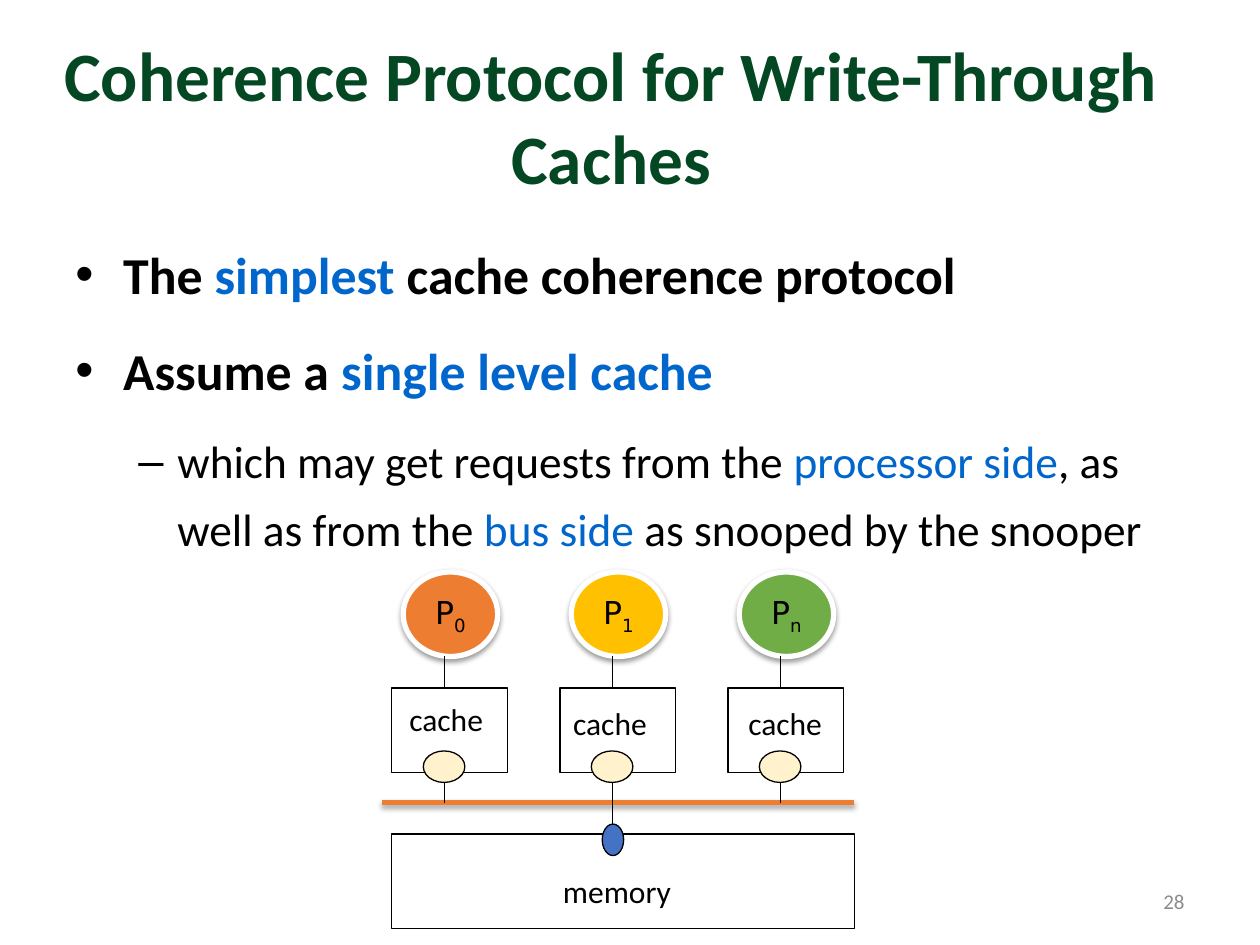
import pptx
import pptx.util
from lxml import etree
from pptx.dml.color import RGBColor
from pptx.enum.shapes import MSO_CONNECTOR, MSO_SHAPE
from pptx.enum.text import MSO_ANCHOR, PP_ALIGN
from pptx.oxml.ns import qn
from pptx.util import Inches, Pt

COLORS = {
    "black": "000000", "white": "FFFFFF", "title": "044823", "accent": "0066CC",
    "number": "8C8C8C", "orange": "ED7D31", "yellow": "FFC000", "green": "70AD47",
    "snooper": "FFF2CC", "port": "4472C4",
}
PITCH = 4 / 3
PROCESSORS = [("0", "orange"), ("1", "yellow"), ("n", "green")]
CACHE_LABELS = [(3.15, 5.51), (4.45, 5.54), (5.84, 5.54)]
BODY = [
    (0, [("The ", "black"), ("simplest", "accent"),
         (" cache coherence protocol", "black")]),
    (0, [("Assume a ", "black"), ("single level cache", "accent")]),
    (1, [("which may get requests from the ", "black"), ("processor side", "accent"),
         (", as well as from the ", "black"), ("bus side ", "accent"),
         ("as snooped by the snooper", "black")]),
]
# Per level: bullet, left margin, hanging indent, line spacing, size, bold, space before
LEVELS = [("•", 0.38, 0.38, 1.2, 29.6, True, 5.9),
          ("–", 0.81, 0.31, 1.25, 25.9, False, 5.2)]


def rgb(name):
    return RGBColor.from_string(COLORS[name])


def add_span(para, text, size=18, color="black", bold=False, font="Calibri", baseline=0):
    span = para.add_run()
    span.text = text
    span.font.size = Pt(size)
    span.font.name = font
    span.font.bold = bold
    span.font.color.rgb = rgb(color)
    if baseline:
        span._r.get_or_add_rPr().set("baseline", str(baseline * 1000))


def add_box(page, left, top, width, height, wrap=True, anchor=MSO_ANCHOR.TOP):
    box = page.shapes.add_textbox(Inches(left), Inches(top), Inches(width), Inches(height))
    box.text_frame.word_wrap = wrap
    box.text_frame.vertical_anchor = anchor
    return box.text_frame


def add_label(page, text, *place, align=PP_ALIGN.LEFT, wrap=False,
              anchor=MSO_ANCHOR.TOP, **style):
    para = add_box(page, *place, wrap=wrap, anchor=anchor).paragraphs[0]
    para.alignment = align
    add_span(para, text, **style)


def add_effects(shape, alpha=0, distance=0):
    """Give the shape a downward shadow, or an empty effect list if alpha is 0."""
    effects = etree.SubElement(shape._element.spPr, qn("a:effectLst"))
    if alpha:
        shadow = etree.SubElement(
            effects, qn("a:outerShdw"), blurRad=str(Pt(3.1)), dist=str(Pt(distance)),
            dir="5400000", rotWithShape="0")
        color = etree.SubElement(shadow, qn("a:srgbClr"), val=COLORS["black"])
        etree.SubElement(color, qn("a:alpha"), val=str(alpha * 1000))


def add_shape(page, kind, left, top, width, height, fill=None, line="black",
              weight=0.75, **shadow):
    shape = page.shapes.add_shape(
        kind, Inches(left), Inches(top), Inches(width), Inches(height))
    if fill:
        shape.fill.solid()
        shape.fill.fore_color.rgb = rgb(fill)
    else:
        shape.fill.background()
    shape.line.color.rgb = rgb(line)
    shape.line.width = Pt(weight)
    add_effects(shape, **shadow)
    return shape


def add_line(page, x1, y1, x2, y2, color="black", weight=0.75, **shadow):
    line = page.shapes.add_connector(
        MSO_CONNECTOR.STRAIGHT, Inches(x1), Inches(y1), Inches(x2), Inches(y2))
    line.line.color.rgb = rgb(color)
    line.line.width = Pt(weight)
    add_effects(line, **shadow)


def add_body(page):
    frame = add_box(page, 0.5, 1.78, 9, 2.76)
    for index, (level, spans) in enumerate(BODY):
        bullet, margin, hanging, spacing, size, bold, before = LEVELS[level]
        para = frame.paragraphs[0] if index == 0 else frame.add_paragraph()
        para.level = level
        para.line_spacing = spacing
        para.space_after = Pt(6)
        if index:
            para.space_before = Pt(before)
        props = para._p.get_or_add_pPr()
        props.set("marL", str(Inches(margin)))
        props.set("indent", str(-Inches(hanging)))
        etree.SubElement(props, qn("a:buFont"), typeface="Arial")
        etree.SubElement(props, qn("a:buChar"), char=bullet)
        for text, color in spans:
            add_span(para, text, size=size, color=color, bold=bold)


def add_processor(page, left, subscript, fill):
    circle = add_shape(page, MSO_SHAPE.OVAL, left, 4.54, 0.75, 0.67, fill=fill,
                       line="white", weight=3, alpha=38, distance=1.6)
    frame = circle.text_frame
    frame.word_wrap = False
    frame.vertical_anchor = MSO_ANCHOR.MIDDLE
    para = frame.paragraphs[0]
    para.alignment = PP_ALIGN.CENTER
    add_span(para, "P", font="DejaVu Sans")
    add_span(para, subscript, font="DejaVu Sans", baseline=-25)


def add_diagram(page):
    add_shape(page, MSO_SHAPE.RECTANGLE, 3.11, 6.62, 3.67, 0.75)
    add_line(page, 3.03, 6.37, 6.78, 6.37, color="orange", weight=3,
             alpha=35, distance=1.8)
    add_line(page, 4.86, 6.37, 4.86, 6.62)
    for column, (subscript, fill) in enumerate(PROCESSORS):
        shift = column * PITCH
        wire = 3.53 + shift
        add_processor(page, 3.2 + shift, subscript, fill)
        add_shape(page, MSO_SHAPE.RECTANGLE, 3.11 + shift, 5.46, 0.92, 0.67)
        add_line(page, wire, 5.21, wire, 5.46)
        add_line(page, wire, 6.12, wire, 6.37)
        add_shape(page, MSO_SHAPE.OVAL, 3.36 + shift, 5.96, 0.33, 0.25, fill="snooper")
    add_shape(page, MSO_SHAPE.OVAL, 4.78, 6.54, 0.17, 0.25, fill="port")
    for left, top in CACHE_LABELS:
        add_label(page, "cache", left, top, 0.79, 0.4)
    add_label(page, "memory", 4.37, 6.87, 1.07, 0.4)


def main():
    deck = pptx.Presentation()
    deck.slide_width, deck.slide_height = Inches(10), Inches(7.5)
    page = deck.slides.add_slide(deck.slide_layouts[6])
    add_body(page)
    add_label(page, "Coherence Protocol for Write-Through Caches", 0.2, 0.29, 9.3, 1.25,
              align=PP_ALIGN.CENTER, wrap=True, anchor=MSO_ANCHOR.MIDDLE,
              size=39.6, color="title", bold=True)
    add_label(page, "28", 7.17, 6.95, 2.33, 0.4, align=PP_ALIGN.RIGHT, wrap=True,
              anchor=MSO_ANCHOR.MIDDLE, size=12, color="number")
    add_diagram(page)
    deck.save("out.pptx")


if __name__ == "__main__":
    main()
